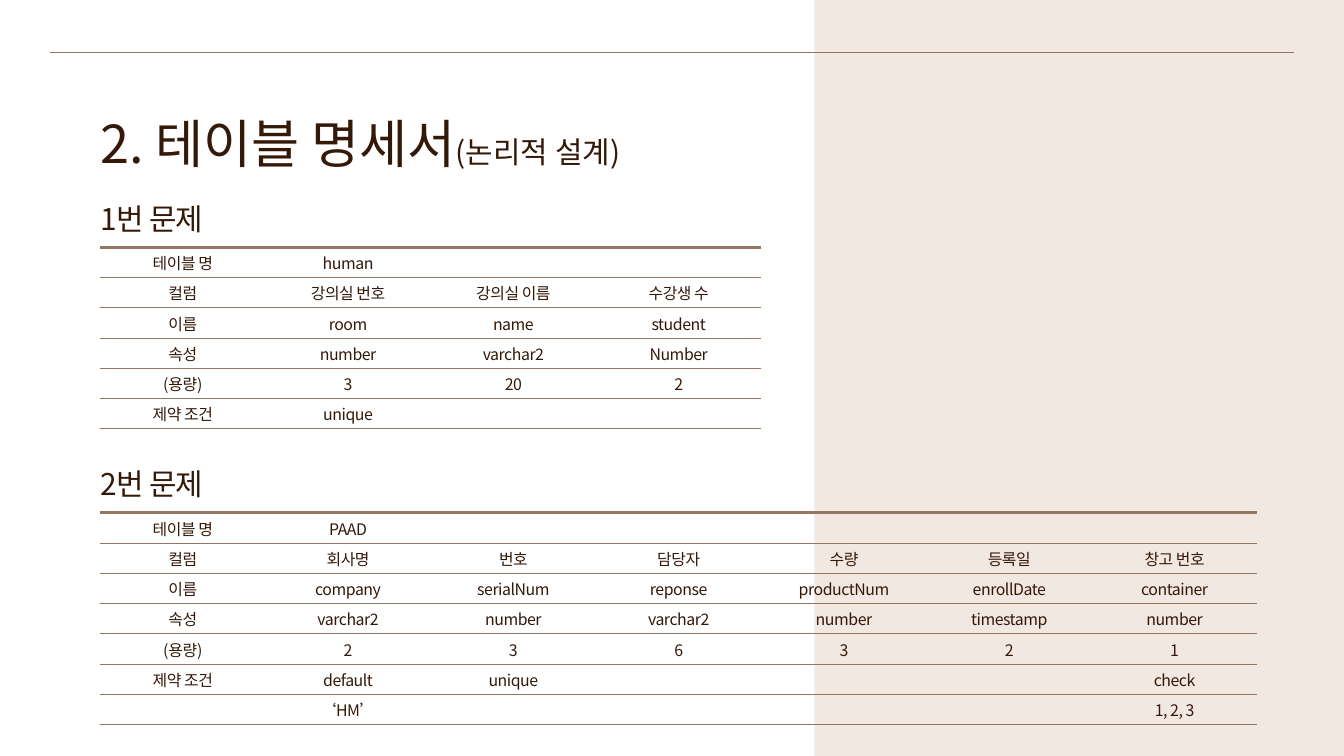
from dataclasses import dataclass

from lxml import etree
from pptx import Presentation
from pptx.dml.color import RGBColor
from pptx.enum.shapes import MSO_CONNECTOR, MSO_SHAPE
from pptx.enum.text import MSO_ANCHOR, MSO_AUTO_SIZE, PP_ALIGN
from pptx.oxml.ns import qn
from pptx.util import Inches, Pt

STRAIGHT = MSO_CONNECTOR.STRAIGHT
RECT = MSO_SHAPE.RECTANGLE
MIDDLE = MSO_ANCHOR.MIDDLE
GROW = MSO_AUTO_SIZE.SHAPE_TO_FIT_TEXT
CENTER = PP_ALIGN.CENTER


@dataclass(frozen=True)
class Theme:
    back: str = "F1E8E2"
    panel: str = "FFFFFF"
    rule: str = "967663"
    ink: str = "341909"
    head_font: str = "Noto Sans CJK KR"
    cell_font: str = "Noto Sans CJK SC"
    title: float = 56
    head: float = 32
    cell: float = 17
    thin: float = 0.75
    thick: float = 3


@dataclass(frozen=True)
class Section:
    """A heading with its table below; cells missing from a row stay empty."""
    head: str
    head_top: float
    head_high: float
    top: float
    cols: int
    rows: tuple[tuple[str, ...], ...]


THEME = Theme()
LEFT = 1.49
COL = 2.46
ROW = 0.45

SECTIONS = (
    Section("1번 문제", 2.83, 0.62, 3.68, 4, (
        ("테이블 명", "human"),
        ("컬럼", "강의실 번호", "강의실 이름", "수강생 수"),
        ("이름", "room", "name", "student"),
        ("속성", "number", "varchar2", "Number"),
        ("(용량)", "3", "20", "2"),
        ("제약 조건", "unique"),
    )),
    Section("2번 문제", 6.78, 0.69, 7.63, 7, (
        ("테이블 명", "PAAD"),
        ("컬럼", "회사명", "번호", "담당자", "수량", "등록일", "창고 번호"),
        ("이름", "company", "serialNum", "reponse", "productNum",
         "enrollDate", "container"),
        ("속성", "varchar2", "number", "varchar2", "number", "timestamp",
         "number"),
        ("(용량)", "2", "3", "6", "3", "2", "1"),
        ("제약 조건", "default", "unique", "", "", "", "check"),
        ("", "‘HM’", "", "", "", "", "1, 2, 3"),
    )),
)


def color(code: str) -> RGBColor:
    return RGBColor.from_string(code)


def write(para, text: str, *, size: float, font: str = THEME.head_font,
          track: float = 0) -> None:
    """Add a run; track is the letter spacing in points."""
    run = para.add_run()
    run.text = text
    run.font.size = Pt(size)
    run.font.name = font
    run.font.color.rgb = color(THEME.ink)
    props = run.font._element
    etree.SubElement(props, qn("a:ea")).set("typeface", font)
    if track:
        props.set("spc", str(round(track * 100)))


def add_box(slide, top: float, wide: float, high: float, line: float):
    """Add an empty text box and return its paragraph."""
    box = slide.shapes.add_textbox(
        Inches(LEFT), Inches(top), Inches(wide), Inches(high))
    frame = box.text_frame
    frame.word_wrap = True
    frame.auto_size = GROW
    frame.margin_left = frame.margin_right = 0
    frame.margin_top = frame.margin_bottom = 0
    para = frame.paragraphs[0]
    para.line_spacing = Pt(line)
    return para


def set_edges(cell, top: float) -> None:
    """Rule the cell above and below, and leave its sides open."""
    props = cell._tc.get_or_add_tcPr()
    edges = (("lnL", 0), ("lnR", 0), ("lnT", top), ("lnB", THEME.thin))
    for place, (tag, width) in enumerate(edges):
        edge = etree.Element(qn(f"a:{tag}"), w=str(Pt(width)))
        props.insert(place, edge)
        if width:
            fill = etree.SubElement(edge, qn("a:solidFill"))
            etree.SubElement(fill, qn("a:srgbClr")).set("val", THEME.rule)
        else:
            etree.SubElement(edge, qn("a:noFill"))


def add_section(slide, part: Section) -> None:
    para = add_box(slide, part.head_top, 7.58, part.head_high, 49.3)
    write(para, part.head, size=THEME.head, track=-0.9)

    count = len(part.rows)
    table = slide.shapes.add_table(
        count, part.cols, Inches(LEFT), Inches(part.top),
        Inches(COL * part.cols), Inches(ROW * count)).table
    table.first_row = table.horz_banding = False
    for col in table.columns:
        col.width = Inches(COL)
    for r, words in enumerate(part.rows):
        table.rows[r].height = Inches(ROW)
        for c in range(part.cols):
            cell = table.cell(r, c)
            cell.fill.background()
            cell.vertical_anchor = MIDDLE
            cell.margin_left = cell.margin_right = Inches(0.01)
            cell.margin_top, cell.margin_bottom = Inches(0.01), 0
            set_edges(cell, THEME.thin if r else THEME.thick)
            if c < len(words) and words[c]:
                para = cell.text_frame.paragraphs[0]
                para.alignment = CENTER
                write(para, words[c], size=THEME.cell,
                      font=THEME.cell_font, track=-0.5)


def add_panel(slide) -> None:
    panel = slide.shapes.add_shape(RECT, 0, 0, Inches(12.12), Inches(11.25))
    panel.shadow.inherit = False
    panel.fill.solid()
    panel.fill.fore_color.rgb = color(THEME.panel)
    panel.line.fill.background()


def add_rule(slide) -> None:
    rule = slide.shapes.add_connector(
        STRAIGHT, Inches(0.75), Inches(0.78), Inches(19.25), Inches(0.78))
    rule.line.color.rgb = color(THEME.rule)
    rule.line.width = Pt(THEME.thin)
    etree.SubElement(rule._element.spPr, qn("a:effectLst"))


def main() -> None:
    deck = Presentation()
    deck.slide_width, deck.slide_height = Inches(20), Inches(11.25)
    slide = deck.slides.add_slide(deck.slide_layouts[6])
    slide.background.fill.solid()
    slide.background.fill.fore_color.rgb = color(THEME.back)

    add_panel(slide)
    add_rule(slide)
    title = add_box(slide, 1.56, 8.6, 1.04, 74.5)
    write(title, "2. 테이블 명세서", size=THEME.title)
    write(title, "(논리적 설계)", size=THEME.head)
    for part in SECTIONS:
        add_section(slide, part)
    deck.save("out.pptx")


if __name__ == "__main__":
    main()
